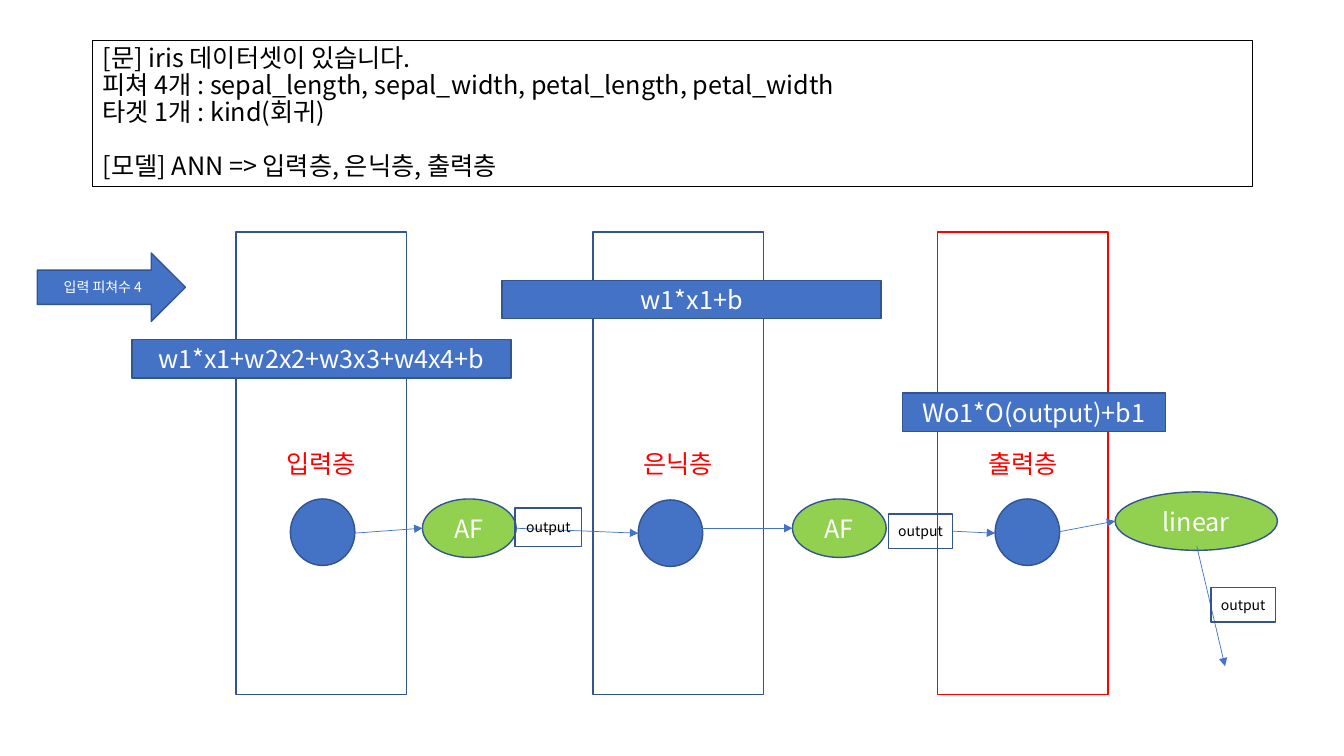
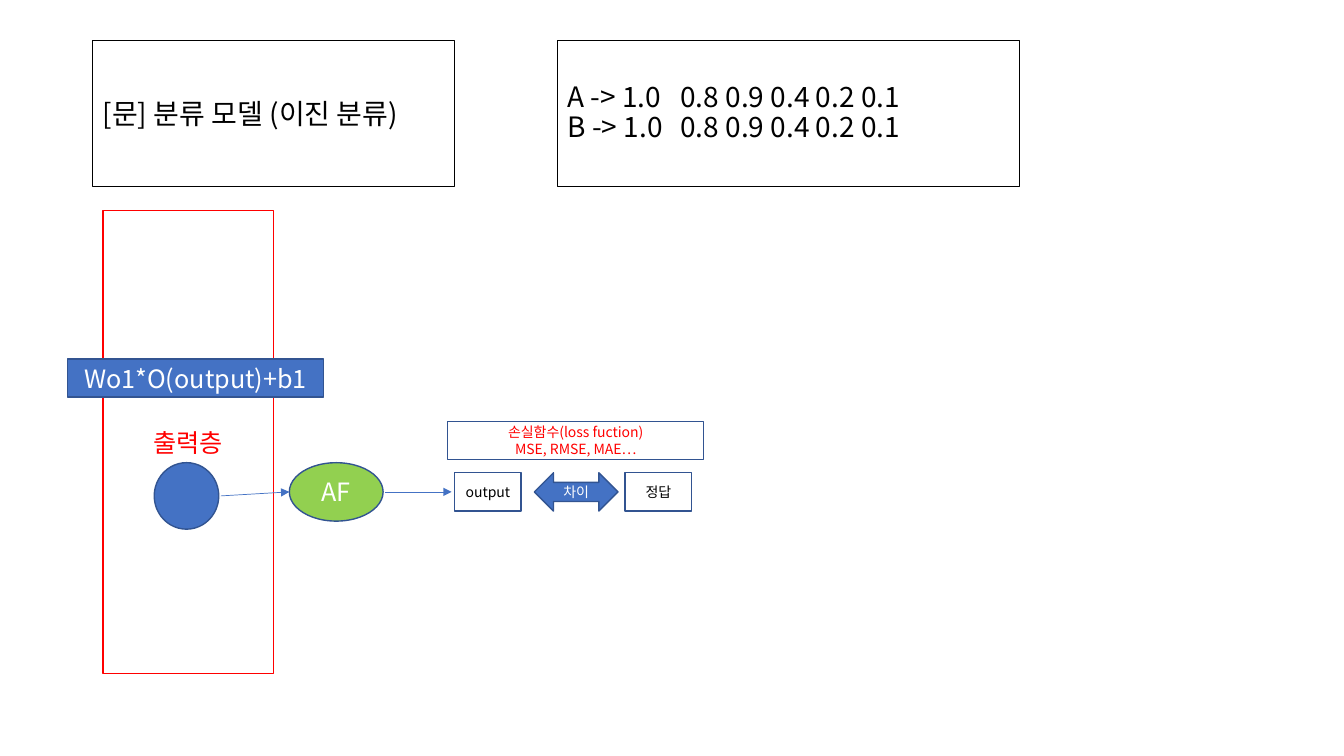
from lxml import etree
from pptx import Presentation
from pptx.dml.color import RGBColor
from pptx.enum.shapes import MSO_CONNECTOR, MSO_SHAPE
from pptx.enum.text import MSO_ANCHOR, PP_ALIGN
from pptx.oxml.ns import qn
from pptx.util import Inches, Pt

RECTANGLE = MSO_SHAPE.RECTANGLE
ELLIPSE = MSO_SHAPE.OVAL
RIGHT_ARROW = MSO_SHAPE.RIGHT_ARROW
DOUBLE_ARROW = MSO_SHAPE.LEFT_RIGHT_ARROW
STRAIGHT = MSO_CONNECTOR.STRAIGHT
LEFT, CENTER = PP_ALIGN.LEFT, PP_ALIGN.CENTER
MIDDLE = MSO_ANCHOR.MIDDLE

BLACK = RGBColor(0x00, 0x00, 0x00)
WHITE = RGBColor(0xFF, 0xFF, 0xFF)
RED = RGBColor(0xFF, 0x00, 0x00)
BLUE = RGBColor(0x44, 0x72, 0xC4)
NAVY = RGBColor(0x32, 0x54, 0x91)
GREEN = RGBColor(0x92, 0xD0, 0x50)

FONT = "Noto Sans CJK KR"
LINE_PITCH = 1.07  # line height of left-aligned text, in font sizes
LAYER_WIDTH, LAYER_HEIGHT = 1.69, 4.59
BAR_HEIGHT = 0.38
HEADER_TOP, HEADER_HEIGHT = 0.4, 1.45


# Basic parts
def write_lines(shape, lines, size, color, align, pitch):
    frame = shape.text_frame
    frame.word_wrap = True
    frame.vertical_anchor = MIDDLE
    frame.margin_left = frame.margin_right = Inches(0.1 if align == LEFT else 0)
    for index, line in enumerate(lines):
        paragraph = frame.paragraphs[0] if index == 0 else frame.add_paragraph()
        paragraph.alignment = align
        if len(lines) > 1:
            paragraph.line_spacing = Pt(round(size * pitch, 1))
        run = paragraph.add_run()
        run.text = line
        run.font.size = Pt(size)
        run.font.name = FONT
        run.font.color.rgb = color
        east_asian = etree.SubElement(run.font._element, qn("a:ea"))
        east_asian.set("typeface", FONT)


def add_box(slide, box, lines=(), kind=RECTANGLE, fill=None, line=NAVY, weight=1,
            size=18, color=WHITE, align=CENTER, pitch=1.2):
    shape = slide.shapes.add_shape(kind, *(Inches(length) for length in box))
    shape.shadow.inherit = False
    if fill is None:
        shape.fill.background()
    else:
        shape.fill.solid()
        shape.fill.fore_color.rgb = fill
    shape.line.color.rgb = line
    shape.line.width = Pt(weight)
    write_lines(shape, lines, size, color, align, pitch)
    return shape


def add_arrows(slide, arrows):
    for ends in arrows:
        connector = slide.shapes.add_connector(
            STRAIGHT, *(Inches(length) for length in ends))
        connector.line.color.rgb = BLUE
        connector.line.width = Pt(0.5)
        outline = connector.line._get_or_add_ln()
        etree.SubElement(outline, qn("a:tailEnd")).set("type", "triangle")
        etree.SubElement(connector._element.spPr, qn("a:effectLst"))


# Shared regions
def add_header(slide, left, width, lines, size):
    return add_box(slide, (left, HEADER_TOP, width, HEADER_HEIGHT), lines, line=BLACK,
                   weight=0.75, size=size, color=BLACK, align=LEFT, pitch=LINE_PITCH)


def add_layer(slide, left, top, name, formula, bar, neuron, line=NAVY):
    """bar is (dx, dy, width) and neuron (dx, dy), from the layer's corner."""
    add_box(slide, (left, top, LAYER_WIDTH, LAYER_HEIGHT), [name], line=line, color=RED)
    bar_dx, bar_dy, bar_width = bar
    add_box(slide, (left + bar_dx, top + bar_dy, bar_width, BAR_HEIGHT), [formula],
            fill=BLUE)
    neuron_dx, neuron_dy = neuron
    add_box(slide, (left + neuron_dx, top + neuron_dy, 0.64, 0.66), kind=ELLIPSE,
            fill=BLUE)


def add_activation(slide, left, top, name="AF", width=0.93):
    add_box(slide, (left, top, width, 0.58), [name], kind=ELLIPSE, fill=GREEN)


def add_value(slide, left, top, name="output", width=0.64, height=0.34):
    add_box(slide, (left, top, width, height), [name], size=10, color=BLACK)


def add_loss(slide, left, top):
    add_box(slide, (left, top, 2.54, BAR_HEIGHT),
            ["손실함수(loss fuction)", "MSE, RMSE, MAE…"], size=10, color=RED)
    row = top + 0.51
    add_value(slide, left + 0.07, row, width=0.66, height=BAR_HEIGHT)
    add_box(slide, (left + 0.86, row, 0.83, BAR_HEIGHT), ["차이"], kind=DOUBLE_ARROW,
            fill=BLUE, size=10)
    add_value(slide, left + 1.76, row, "정답", 0.66, BAR_HEIGHT)


# Slides
def build_network(slide):
    header = add_header(slide, 0.92, 11.5, [
        "[문] iris 데이터셋이 있습니다.",
        "피쳐 4개 : sepal_length, sepal_width, petal_length, petal_width",
        "타겟 1개 : kind(회귀)",
        "[모델] ANN => 입력층, 은닉층, 출력층"], 18)
    header.text_frame.paragraphs[-1].space_before = Pt(19.3)

    top = 2.3
    add_layer(slide, 2.34, top, "입력층", "w1*x1+w2x2+w3x3+w4x4+b",
              (-1.03, 1.07, 3.76), (0.54, 2.65))
    add_layer(slide, 5.88, top, "은닉층", "w1*x1+b", (-0.9, 0.48, 3.76), (0.45, 2.66))
    add_layer(slide, 9.3, top, "출력층", "Wo1*O(output)+b1",
              (-0.35, 1.6, 2.61), (0.57, 2.65), RED)
    add_box(slide, (0.37, 2.51, 1.47, 0.68), ["입력 피쳐수 4"], kind=RIGHT_ARROW,
            fill=BLUE, size=10)

    add_activation(slide, 4.19, 4.95)
    add_activation(slide, 7.86, 4.95)
    add_activation(slide, 11.06, 4.88, "linear", 1.61)
    add_arrows(slide, [
        (3.51, 5.29, 4.19, 5.24), (5.1, 5.24, 6.33, 5.29), (6.86, 5.24, 7.86, 5.24),
        (9.45, 5.27, 9.87, 5.29), (10.48, 5.28, 11.06, 5.17),
        (11.87, 5.42, 12.15, 6.61)])
    add_value(slide, 5.11, 5.04, width=0.66, height=0.38)
    add_value(slide, 8.81, 5.1)
    add_value(slide, 12.01, 5.83)


def build_classifier(slide):
    add_header(slide, 0.92, 3.59, ["[문] 분류 모델 (이진 분류)"], 20)
    scores = add_header(slide, 5.53, 4.58, [
        f"{name} -> 1.0\t0.8 0.9 0.4 0.2 0.1" for name in "AB"], 20)
    for paragraph in scores.text_frame.paragraphs:
        tabs = etree.SubElement(paragraph._p.get_or_add_pPr(), qn("a:tabLst"))
        stop = etree.SubElement(tabs, qn("a:tab"))
        stop.set("pos", str(Inches(1.12)))
        stop.set("algn", "l")

    add_layer(slide, 1.02, 2.09, "출력층", "Wo1*O(output)+b1",
              (-0.35, 1.47, 2.54), (0.51, 2.5), RED)
    add_activation(slide, 2.87, 4.59)
    add_arrows(slide, [(2.19, 4.92, 2.87, 4.88), (3.82, 4.88, 4.48, 4.88)])
    add_loss(slide, 4.44, 4.18)


def main():
    presentation = Presentation()
    presentation.slide_width = Inches(13.33)
    presentation.slide_height = Inches(7.5)
    blank = presentation.slide_layouts[6]
    for build in (build_network, build_classifier):
        build(presentation.slides.add_slide(blank))
    presentation.save("out.pptx")


if __name__ == "__main__":
    main()
